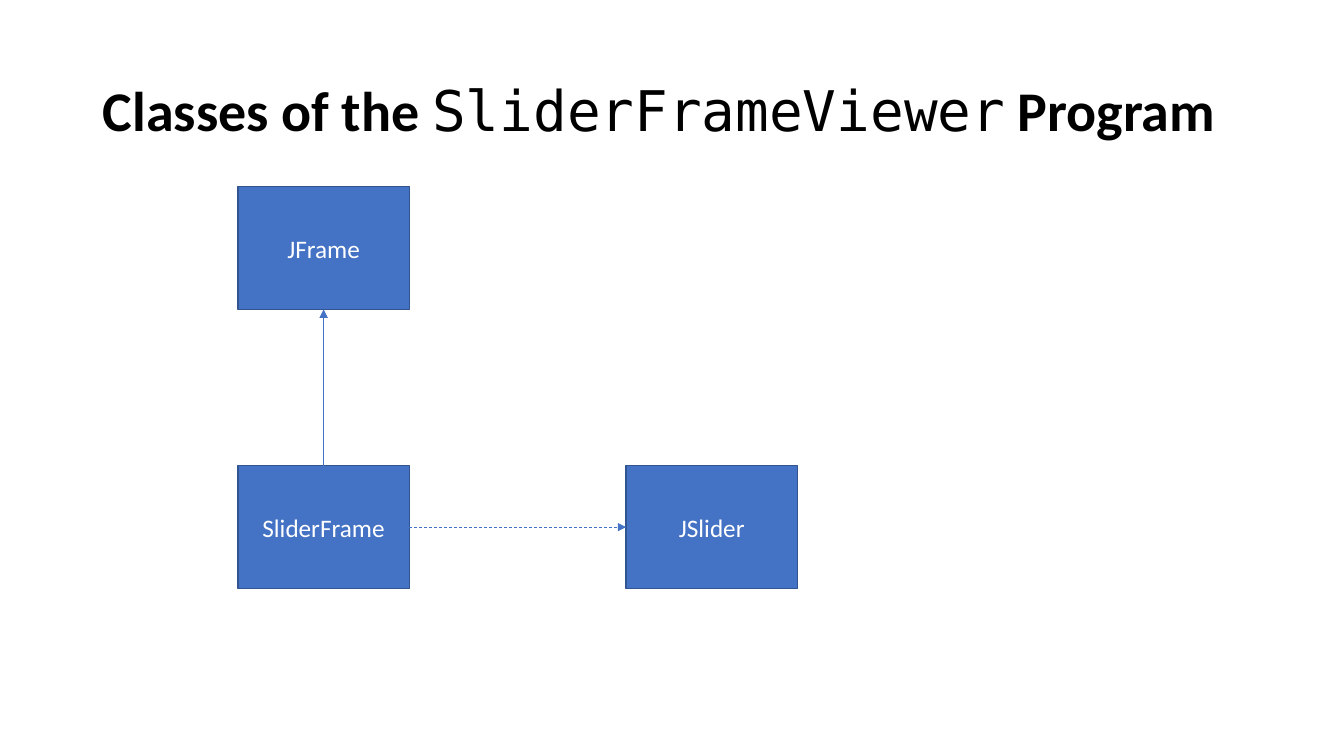
from lxml import etree
from pptx import Presentation
from pptx.dml.color import RGBColor
from pptx.enum.dml import MSO_LINE
from pptx.enum.shapes import MSO_CONNECTOR, MSO_SHAPE
from pptx.enum.text import MSO_ANCHOR, PP_ALIGN
from pptx.oxml.ns import qn
from pptx.util import Inches, Pt

RECT = MSO_SHAPE.RECTANGLE
STRAIGHT = MSO_CONNECTOR.STRAIGHT
DASH = MSO_LINE.DASH
MIDDLE = MSO_ANCHOR.MIDDLE
LEFT, CENTER = PP_ALIGN.LEFT, PP_ALIGN.CENTER
TOP_SIDE, LEFT_SIDE, BOTTOM_SIDE, RIGHT_SIDE = range(4)

COLORS = {"ink": "000000", "fill": "4472C4", "edge": "325491", "label": "FFFFFF"}
SANS, MONO = "Calibri", "DejaVu Sans Mono"
BOX_WIDE, BOX_HIGH = 1.7, 1.22


def color(name):
    return RGBColor.from_string(COLORS[name])


def add_text(para, text, size=18, ink="label", face=SANS, bold=False):
    run = para.add_run()
    run.text = text
    font = run.font
    font.name, font.size, font.bold = face, Pt(size), bold
    font.color.rgb = color(ink)


class Diagram:
    def __init__(self, deck):
        self.slide = deck.slides.add_slide(deck.slide_layouts[5])
        self.shapes = self.slide.shapes

    def title(self, parts, left, top, width, height):
        title = self.shapes.title
        title.left, title.top = Inches(left), Inches(top)
        title.width, title.height = Inches(width), Inches(height)
        frame = title.text_frame
        frame.word_wrap = True
        frame.vertical_anchor = MIDDLE
        para = frame.paragraphs[0]
        para.alignment = LEFT
        para.line_spacing = 0.9
        for text, face, bold in parts:
            add_text(para, text, size=40, ink="ink", face=face, bold=bold)

    def box(self, text, left, top):
        box = self.shapes.add_shape(
            RECT, Inches(left), Inches(top), Inches(BOX_WIDE), Inches(BOX_HIGH))
        box.shadow.inherit = False
        box.fill.solid()
        box.fill.fore_color.rgb = color("fill")
        box.line.color.rgb = color("edge")
        box.line.width = Pt(1)
        frame = box.text_frame
        frame.word_wrap = True
        frame.vertical_anchor = MIDDLE
        para = frame.paragraphs[0]
        para.alignment = CENTER
        add_text(para, text)
        return box

    def arrow(self, start, start_side, end, end_side, dash=None):
        link = self.shapes.add_connector(STRAIGHT, 0, 0, 0, 0)
        link.begin_connect(start, start_side)
        link.end_connect(end, end_side)
        link.line.color.rgb = color("fill")
        link.line.width = Pt(0.5)
        if dash:
            link.line.dash_style = dash
        props = link._element.spPr
        etree.SubElement(props.find(qn("a:ln")), qn("a:tailEnd"), type="triangle")
        etree.SubElement(props, qn("a:effectLst"))


def main():
    deck = Presentation()
    deck.slide_width, deck.slide_height = Inches(13.33), Inches(7.5)
    page = Diagram(deck)
    page.title(
        [("Classes of the ", SANS, True),
         ("SliderFrameViewer", MONO, False),
         (" Program", SANS, True)],
        0.92, 0.4, 11.5, 1.45)
    child = page.box("SliderFrame", 2.36, 4.62)
    slider = page.box("JSlider", 6.21, 4.62)
    page.arrow(child, RIGHT_SIDE, slider, LEFT_SIDE, dash=DASH)
    parent = page.box("JFrame", 2.36, 1.85)
    page.arrow(child, TOP_SIDE, parent, BOTTOM_SIDE)
    deck.save("out.pptx")


if __name__ == "__main__":
    main()
